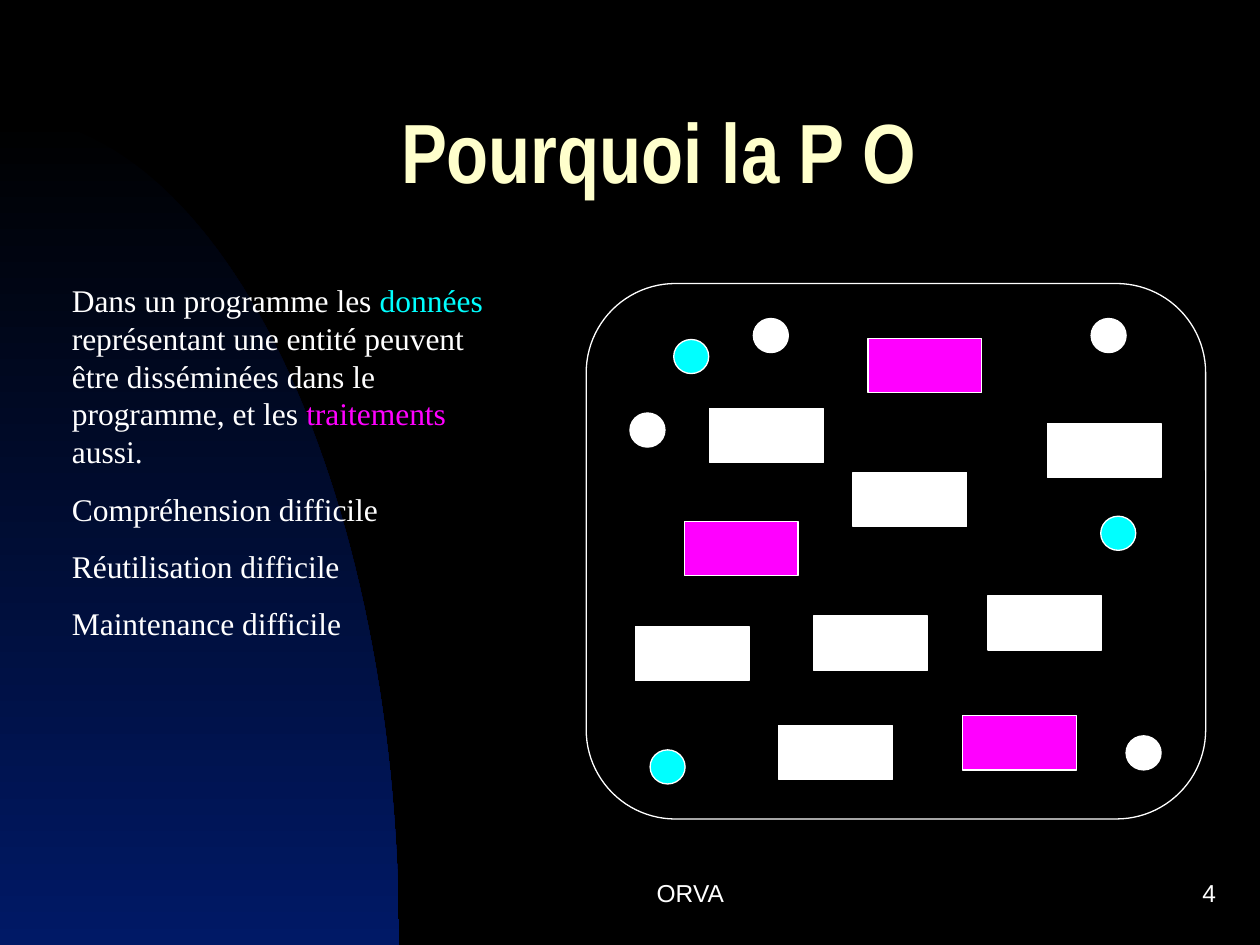
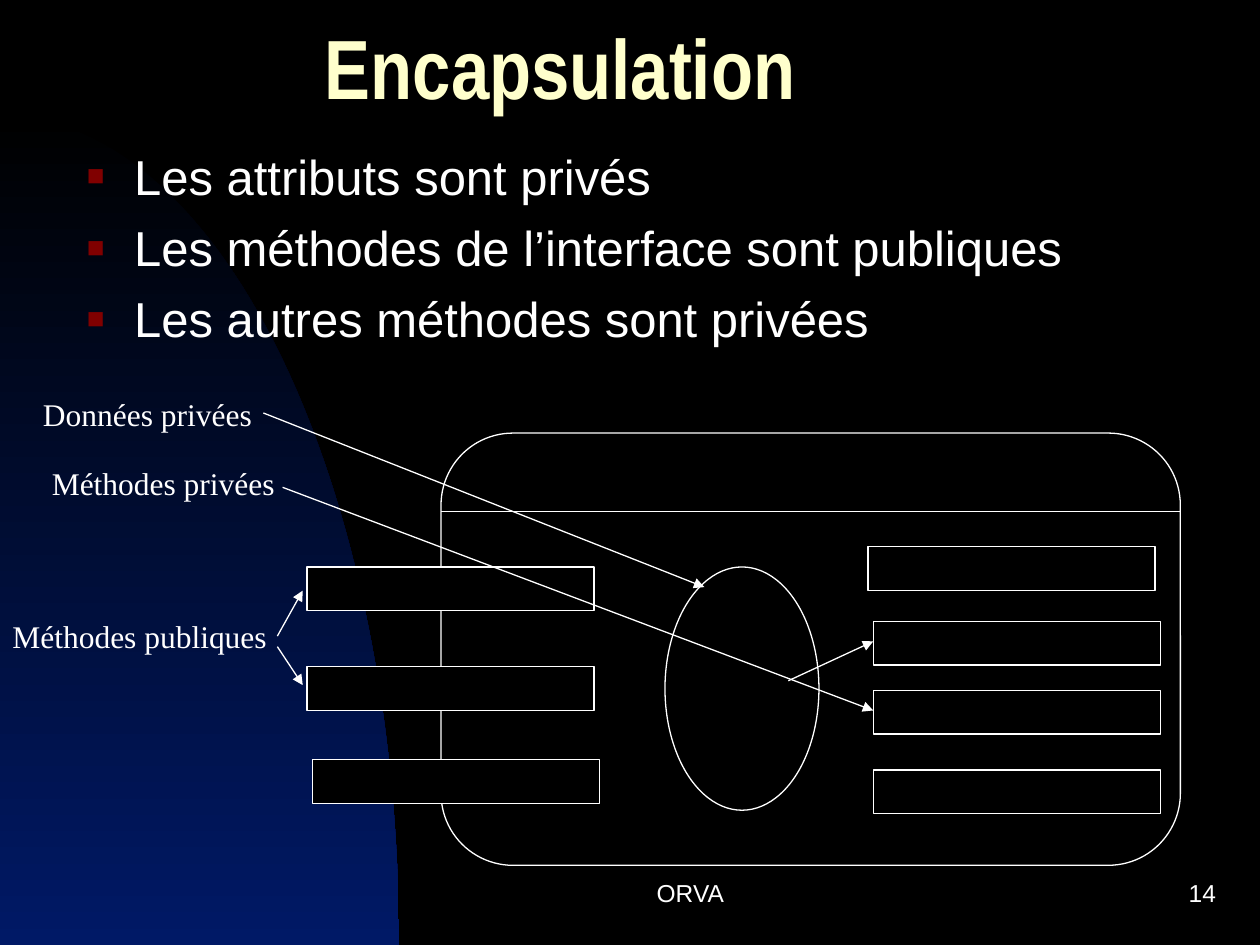
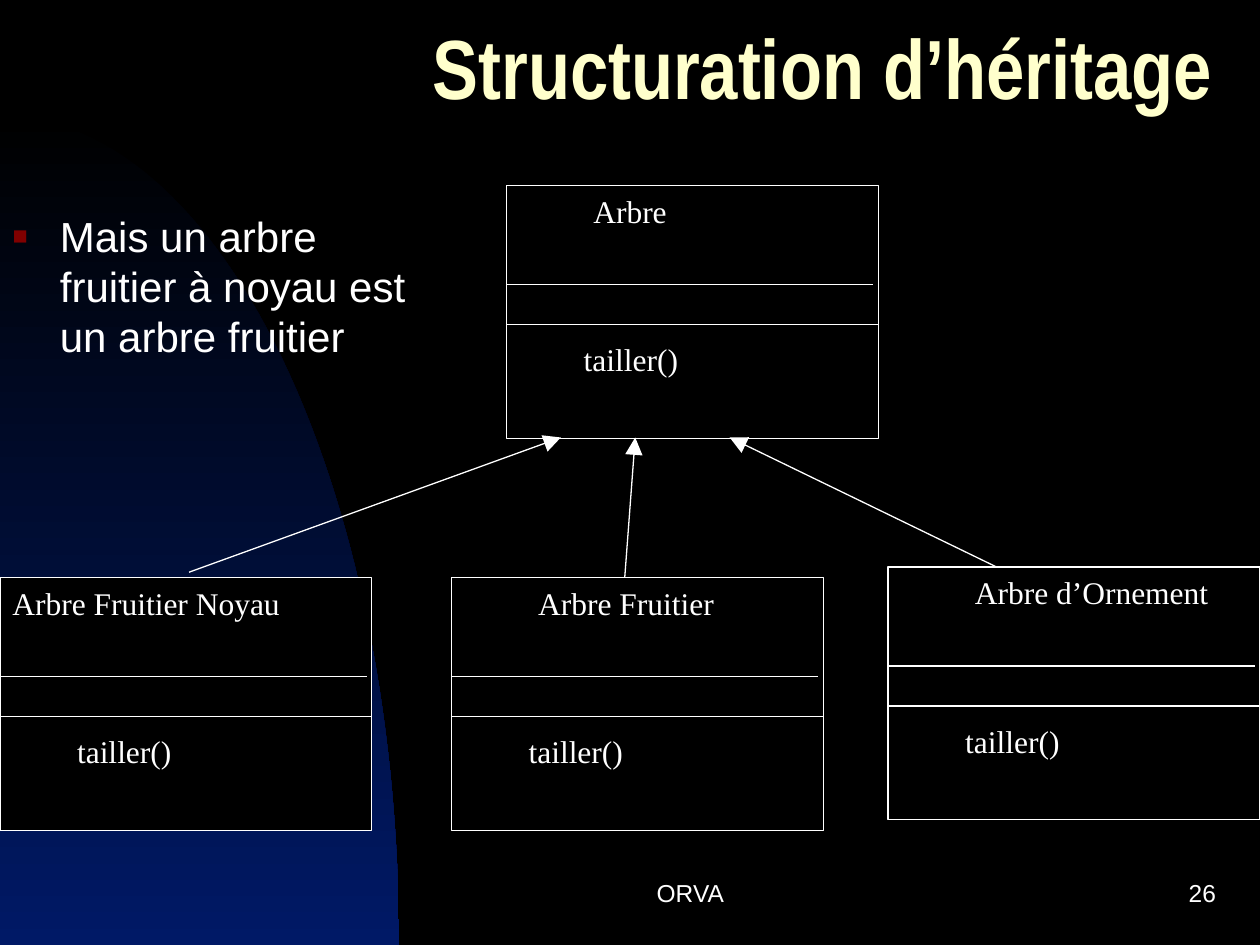
import math

import pptx
import pptx.dml.color
import pptx.enum.shapes
import pptx.enum.text
import pptx.oxml
import pptx.oxml.ns
import pptx.util
from lxml import etree

Pt = pptx.util.Pt
RGBColor = pptx.dml.color.RGBColor
Shape = pptx.enum.shapes.MSO_SHAPE
Align = pptx.enum.text.PP_ALIGN
Anchor = pptx.enum.text.MSO_ANCHOR
qn = pptx.oxml.ns.qn

BLACK = RGBColor(0x00, 0x00, 0x00)
WHITE = RGBColor(0xFF, 0xFF, 0xFF)
CREAM = RGBColor(0xFF, 0xFF, 0xCC)
CYAN = RGBColor(0x00, 0xFF, 0xFF)
MAGENTA = RGBColor(0xFF, 0x00, 0xFF)
NIGHT_BLUE = RGBColor(0x00, 0x19, 0x66)
BULLET_RED = RGBColor(0x80, 0x00, 0x00)

SLIDE_SIZE = (720, 540)
ARC_RADII = (228, 474)
ARC_STEPS = 60
TITLE_SIZE = (480, 90)
LINE_WIDTH = 0.75
LABEL_HEIGHT = 29
FOOTER = "ORVA "
FOOTER_BOX = (282, 492, 228, 36)
NUMBER_BOX = (552, 492, 150, 36)

TITLE_FONT = {"name": "Arial Narrow", "size": Pt(48), "bold": True}
LABEL_FONT = {"name": "Times New Roman", "size": Pt(18)}
FOOTER_FONT = {"name": "Arial", "size": Pt(14)}
TITLE_PARAGRAPH = {"alignment": Align.LEFT, "line_spacing": 0.7, "space_before": Pt(0)}
LABEL_PARAGRAPH = {"space_before": Pt(11.2)}

SCATTER = {
    "title": ("Pourquoi la P O", 222, 48),
    "number": 4,
    "text_box": (34, 157, 266.5, 214),
    "text": [
        [
            ("Dans un programme les ", WHITE),
            ("données", CYAN),
            (" représentant une entité peuvent être disséminées dans le programme, et les ", WHITE),
            ("traitements", MAGENTA),
            (" aussi.", WHITE),
        ],
        [("Compréhension difficile", WHITE)],
        [("Réutilisation difficile", WHITE)],
        [("Maintenance difficile", WHITE)],
    ],
    "program": (335, 162, 354, 306),
    "parts": [
        (Shape.OVAL, (20, 19.5), CYAN, [(385, 194), (629, 295), (371.5, 428.5)]),
        (Shape.OVAL, (20, 19.5), WHITE, [(360, 236), (430.5, 182), (643.5, 420.5), (623.5, 182)]),
        (Shape.RECTANGLE, (65, 31), MAGENTA, [(496, 193.5), (550, 409), (391, 298)]),
        (Shape.RECTANGLE, (65, 31), WHITE, [
            (363, 358), (487.5, 270), (564.5, 340.5), (445, 414.5),
            (598.5, 242), (465, 352), (405.5, 233.5),
        ]),
    ],
}

ENCAPSULATION = {
    "title": ("Encapsulation", 178.5, 0),
    "number": 14,
    "body_box": (42.5, 80, 638, 130),
    "body_size": 28,
    "bullets": [
        "Les attributs sont privés",
        "Les méthodes de l’interface sont publiques",
        "Les autres méthodes sont privées",
    ],
    "object": (252, 247.5, 422.5, 247),
    "divider": 292.5,
    "method_size": (164, 25),
    "methods": [
        (175.5, 324), (175.5, 381), (178.5, 434),
        (496, 312.5), (499, 355), (499, 394.5), (499, 440),
    ],
    "data": (380, 324, 88, 139),
    "labels": [
        ("Données privées", 17.5, 222, 139),
        ("Méthodes privées", 22.5, 261.5, 159),
        ("Méthodes publiques", 0, 349, 167),
    ],
    "arrows": [
        (150.5, 236, 402.5, 335.5),
        (161.5, 278.5, 499, 406),
        (158.5, 363.5, 173, 337.5),
        (158.5, 369.5, 173, 391.5),
        (450.5, 389, 499, 366.5),
    ],
}

INHERITANCE = {
    "title": ("Structuration d’héritage", 240, 0),
    "number": 26,
    "body_box": (0, 116.5, 258, 96.5),
    "body_size": 24,
    "bullets": ["Mais un arbre fruitier à noyau est un arbre fruitier"],
    "class_size": (212.5, 144.5),
    "classes": [
        ("Arbre", 289.5, 106, 42.5, 136),
        ("Arbre Fruitier", 258, 330, 42.5, 136),
        ("Arbre d’Ornement", 507.5, 324, 42.5, 150.5),
        ("Arbre Fruitier Noyau", 0, 330, 0, 178.5),
    ],
    "dividers": [(56.5, 209.5), (79.5, 212.5)],
    "method": ("tailler()", 37, 85, 155.5),
    "arrows": [
        (357, 330, 363, 250),
        (569.5, 324, 417, 250),
        (108, 327, 320.5, 250),
    ],
}


def points(values):
    return [Pt(value) for value in values]


def apply(target, values):
    for name, value in values.items():
        setattr(target, name, value)


def place(shape, box):
    apply(shape, dict(zip(("left", "top", "width", "height"), points(box))))


def write(text_frame, paragraphs, font, paragraph_format, anchor=Anchor.TOP):
    apply(text_frame, {
        "word_wrap": True,
        "auto_size": pptx.enum.text.MSO_AUTO_SIZE.NONE,
        "vertical_anchor": anchor,
    })
    for index, runs in enumerate(paragraphs):
        paragraph = text_frame.add_paragraph() if index else text_frame.paragraphs[0]
        apply(paragraph, paragraph_format)
        for text, color in runs:
            run = paragraph.add_run()
            run.text = text
            apply(run.font, font)
            run.font.color.rgb = color


def add_text(slide, box, paragraphs, font=LABEL_FONT, paragraph_format=LABEL_PARAGRAPH, anchor=Anchor.TOP):
    text_box = slide.shapes.add_textbox(*points(box))
    write(text_box.text_frame, paragraphs, font, paragraph_format, anchor)


def add_label(slide, text, left, top, width):
    add_text(slide, (left, top, width, LABEL_HEIGHT), [[(text, WHITE)]])


def add_outlined(slide, kind, box, color=BLACK):
    shape = slide.shapes.add_shape(kind, *points(box))
    shape.shadow.inherit = False
    shape.fill.solid()
    shape.fill.fore_color.rgb = color
    shape.line.color.rgb = WHITE
    shape.line.width = Pt(LINE_WIDTH)


def add_line(slide, ends, head=None):
    connector = slide.shapes.add_connector(pptx.enum.shapes.MSO_CONNECTOR.STRAIGHT, *points(ends))
    connector.line.color.rgb = WHITE
    connector.line.width = Pt(LINE_WIDTH)
    properties = connector.element.find(qn("p:spPr"))
    if head:
        etree.SubElement(properties.find(qn("a:ln")), qn("a:tailEnd"), type="triangle", w=head, len=head)
    etree.SubElement(properties, qn("a:effectLst"))


def add_bullet(paragraph):
    properties = paragraph._p.get_or_add_pPr()
    properties.set("marL", str(Pt(27)))
    properties.set("indent", str(-Pt(27)))
    color = etree.SubElement(properties, qn("a:buClr"))
    etree.SubElement(color, qn("a:srgbClr"), val=str(BULLET_RED))
    etree.SubElement(properties, qn("a:buSzPct"), val="60000")
    etree.SubElement(properties, qn("a:buFont"), typeface="Arial")
    etree.SubElement(properties, qn("a:buChar"), char="■")


def add_body(slide, content):
    body = slide.placeholders[1]
    place(body, content["body_box"])
    size = content["body_size"]
    write(
        body.text_frame,
        [[(text, WHITE)] for text in content["bullets"]],
        {"name": "Arial", "size": Pt(size)},
        {"space_before": Pt(size / 4)},
    )
    for paragraph in body.text_frame.paragraphs:
        add_bullet(paragraph)


def start_slide(presentation, content):
    layout = presentation.slide_layouts[1 if "bullets" in content else 5]
    slide = presentation.slides.add_slide(layout)
    text, left, top = content["title"]
    place(slide.shapes.title, (left, top, *TITLE_SIZE))
    write(slide.shapes.title.text_frame, [[(text, CREAM)]], TITLE_FONT, TITLE_PARAGRAPH, Anchor.MIDDLE)
    if "bullets" in content:
        add_body(slide, content)
    for box, words, alignment in (
        (FOOTER_BOX, FOOTER, Align.CENTER),
        (NUMBER_BOX, str(content["number"]), Align.RIGHT),
    ):
        add_text(slide, box, [[(words, WHITE)]], FOOTER_FONT, {"alignment": alignment}, Anchor.MIDDLE)
    return slide


def decorate_master(master, slide):
    master.background.fill.solid()
    master.background.fill.fore_color.rgb = BLACK
    radius_x, radius_y = ARC_RADII
    bottom = SLIDE_SIZE[1]
    angles = [math.pi / 2 * step / ARC_STEPS for step in range(ARC_STEPS + 1)]
    curve = [
        points((radius_x * math.sin(angle), bottom - radius_y * math.cos(angle)))
        for angle in angles
    ]
    builder = slide.shapes.build_freeform(0, Pt(bottom))
    builder.add_line_segments(curve, close=True)
    arc = builder.convert_to_shape()
    arc.shadow.inherit = False
    arc.line.fill.background()
    arc.fill.gradient()
    arc.fill.gradient_angle = 270
    for stop, color in zip(arc.fill.gradient_stops, (BLACK, NIGHT_BLUE)):
        stop.color.rgb = color
    master.shapes.element.insert(2, arc.element)


def build_scatter(presentation):
    slide = start_slide(presentation, SCATTER)
    decorate_master(presentation.slide_master, slide)
    add_text(slide, SCATTER["text_box"], SCATTER["text"])
    add_outlined(slide, Shape.ROUNDED_RECTANGLE, SCATTER["program"])
    for kind, size, color, corners in SCATTER["parts"]:
        for corner in corners:
            add_outlined(slide, kind, (*corner, *size), color)


def build_encapsulation(presentation):
    slide = start_slide(presentation, ENCAPSULATION)
    left, top, width, height = ENCAPSULATION["object"]
    divider = ENCAPSULATION["divider"]
    add_outlined(slide, Shape.ROUNDED_RECTANGLE, (left, top, width, height))
    add_line(slide, (left, divider, left + width, divider))
    for corner in ENCAPSULATION["methods"]:
        add_outlined(slide, Shape.RECTANGLE, (*corner, *ENCAPSULATION["method_size"]))
    add_outlined(slide, Shape.OVAL, ENCAPSULATION["data"])
    for label in ENCAPSULATION["labels"]:
        add_label(slide, *label)
    for arrow in ENCAPSULATION["arrows"]:
        add_line(slide, arrow, "med")


def build_inheritance(presentation):
    slide = start_slide(presentation, INHERITANCE)
    method, method_left, method_top, method_width = INHERITANCE["method"]
    for name, left, top, name_left, name_width in INHERITANCE["classes"]:
        add_outlined(slide, Shape.RECTANGLE, (left, top, *INHERITANCE["class_size"]))
        for offset, length in INHERITANCE["dividers"]:
            add_line(slide, (left, top + offset, left + length, top + offset))
        add_label(slide, name, left + name_left, top, name_width)
        add_label(slide, method, left + method_left, top + method_top, method_width)
    for arrow in INHERITANCE["arrows"]:
        add_line(slide, arrow, "lg")


def main():
    presentation = pptx.Presentation()
    presentation.slide_width, presentation.slide_height = points(SLIDE_SIZE)
    build_scatter(presentation)
    build_encapsulation(presentation)
    build_inheritance(presentation)
    presentation.save("out.pptx")


if __name__ == "__main__":
    main()
